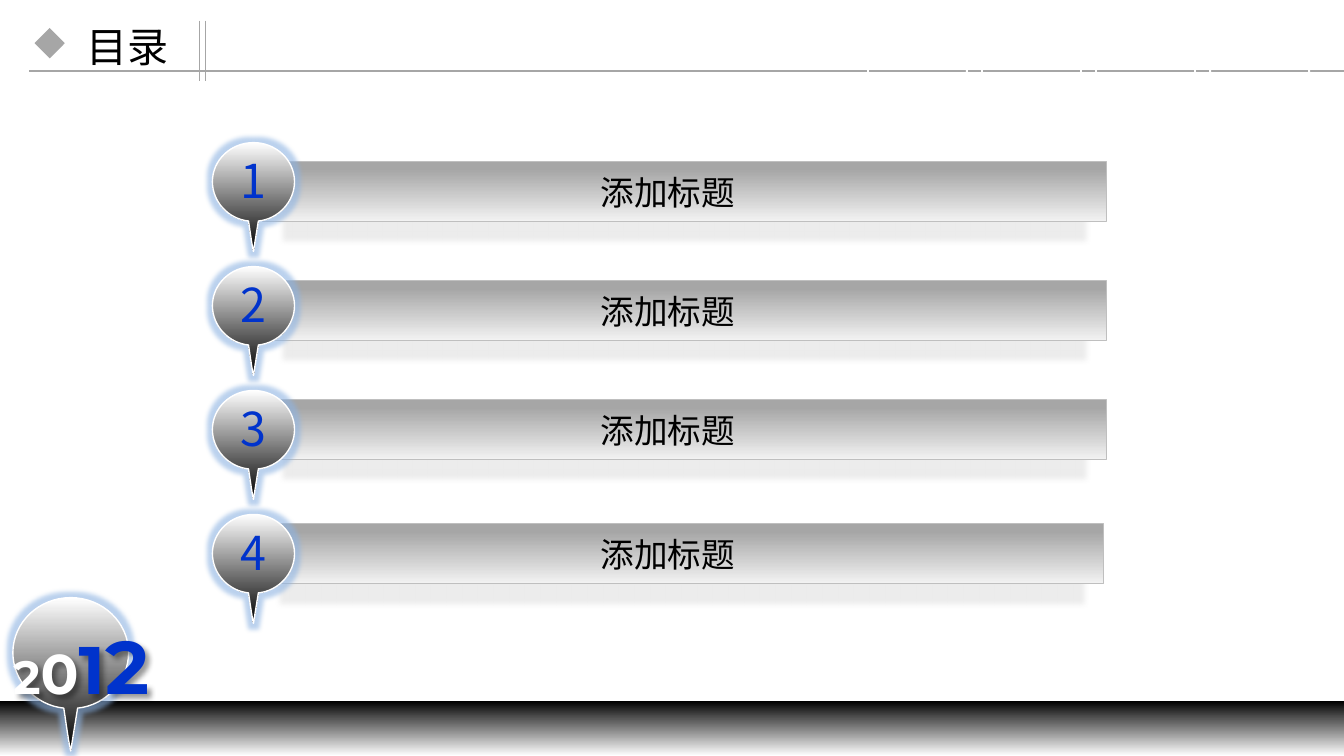
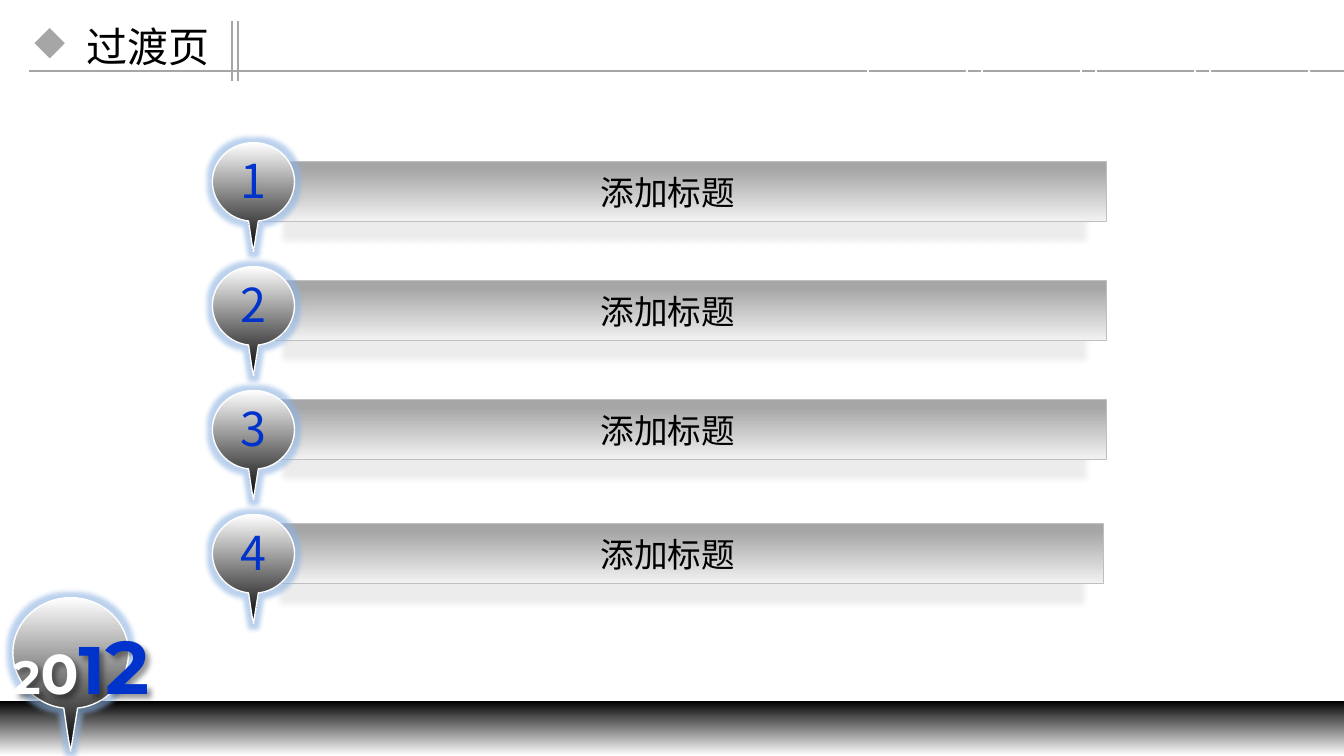
import lxml.etree
import pptx
import pptx.dml.color
import pptx.enum.shapes
import pptx.enum.text
import pptx.oxml.ns
import pptx.util

Pt = pptx.util.Pt
RGBColor = pptx.dml.color.RGBColor
qn = pptx.oxml.ns.qn

BLACK = RGBColor(0x00, 0x00, 0x00)
CHARCOAL = RGBColor(0x58, 0x58, 0x58)
SHADE = RGBColor(0x80, 0x80, 0x80)
GRAY = RGBColor(0xA6, 0xA6, 0xA6)
EDGE = RGBColor(0xBF, 0xBF, 0xBF)
PALE = RGBColor(0xF2, 0xF2, 0xF2)
WHITE = RGBColor(0xFF, 0xFF, 0xFF)
BLUE = RGBColor(0x00, 0x33, 0xCC)
GLOW = RGBColor(0x8E, 0xB4, 0xE3)

SC = "Noto Sans CJK SC"
JP = "Noto Sans CJK JP"
YEAR_FONT = "Montserrat"

WIDTH, HEIGHT = 720, 405
BAR_LEFT, BAR_TOP, BAR_PITCH = 140.4, 86.4, 63.8
LAST_BAR = (139, 280.5)
PIN_LEFT, PIN_TOP, PIN_PITCH = 113.8, 76.4, 66.4
LABELS = ["添加标题"] * 4

PIN_FADE = [(0, WHITE), (100, BLACK)]
BAND_FADE = [(0, BLACK), (33, CHARCOAL), (100, WHITE)]
BAR_FADE = [(0, GRAY), (13, GRAY), (100, PALE)]
BAR_SHADOW = {"blurRad": Pt(3), "dist": Pt(10), "dir": 5400000,
              "sx": 95000, "algn": "ctr", "rotWithShape": 0}
YEAR_SHADOW = {"blurRad": Pt(3), "dist": Pt(3), "dir": 2700000,
               "algn": "tl", "rotWithShape": 0}

PIN_OUTLINE = [
    [(50, 0)],
    [(77.5, 0), (100, 21.3), (100, 47.6)],
    [(100, 72), (80.5, 93), (56, 95.5)],
    [(50, 132.5)],
    [(48, 124), (45.5, 105), (44, 95.5)],
    [(19.5, 93), (0, 72), (0, 47.6)],
    [(0, 21.3), (22.5, 0), (50, 0)],
]
TILE_OUTLINE = [
    [(100, 82)],
    [(100, 92), (92, 100), (82, 100)],
    [(18, 100)],
    [(8, 100), (0, 92), (0, 82)],
    [(0, 18)],
    [(0, 8), (8, 0), (18, 0)],
    [(82, 0)],
    [(92, 0), (100, 8), (100, 18)],
]


def add_colour(parent, colour, alpha=None):
    node = lxml.etree.SubElement(parent, qn("a:srgbClr"), val=str(colour))
    if alpha is not None:
        lxml.etree.SubElement(node, qn("a:alpha"), val=str(alpha * 1000))


def add_effect(shape, kind, colour, alpha, values):
    shape.shadow.inherit = False
    effects = shape.element.spPr.find(qn("a:effectLst"))
    attributes = {key: str(value) for key, value in values.items()}
    effect = lxml.etree.SubElement(effects, qn(kind), attributes)
    add_colour(effect, colour, alpha)


def fade_down(shape, stops):
    shape.fill.gradient()
    shape.fill.gradient_angle = 270
    stop_list = shape.element.spPr.find(qn("a:gradFill")).find(qn("a:gsLst"))
    for stop in list(stop_list):
        stop_list.remove(stop)
    for position, colour in stops:
        stop = lxml.etree.SubElement(stop_list, qn("a:gs"), pos=str(position * 1000))
        add_colour(stop, colour)


def set_line(shape, colour, width):
    shape.line.color.rgb = colour
    shape.line.width = Pt(width)


def add_block(slide, left, top, width, height):
    block = slide.shapes.add_shape(pptx.enum.shapes.MSO_SHAPE.RECTANGLE,
                                   Pt(left), Pt(top), Pt(width), Pt(height))
    block.shadow.inherit = False
    block.line.fill.background()
    return block


def add_rule(slide, x1, y1, x2, y2):
    rule = slide.shapes.add_connector(
        pptx.enum.shapes.MSO_CONNECTOR.STRAIGHT, Pt(x1), Pt(y1), Pt(x2), Pt(y2))
    set_line(rule, GRAY, 0.75)
    lxml.etree.SubElement(rule.element.spPr, qn("a:effectLst"))


def add_outline(slide, left, top, width, segments):
    points = [(Pt(left + x * width / 100), Pt(top + y * width / 100))
              for segment in segments for x, y in segment]
    builder = slide.shapes.build_freeform(*points[0])
    builder.add_line_segments(points[1:], close=True)
    shape = builder.convert_to_shape()
    shape.shadow.inherit = False
    route = next(shape.element.spPr.iter(qn("a:path")))
    steps = iter(route.findall(qn("a:lnTo")))
    for segment in segments[1:]:
        group = [next(steps) for _ in segment]
        if len(group) == 3:
            curve = lxml.etree.Element(qn("a:cubicBezTo"))
            group[0].addprevious(curve)
            for step in group:
                curve.append(step[0])
                route.remove(step)
    return shape


def add_text(slide, left, top, width, height, runs, wrap=True, **paragraph_format):
    box = slide.shapes.add_textbox(Pt(left), Pt(top), Pt(width), Pt(height))
    frame = box.text_frame
    frame.word_wrap = wrap
    frame.auto_size = pptx.enum.text.MSO_AUTO_SIZE.SHAPE_TO_FIT_TEXT
    paragraph = frame.paragraphs[0]
    for key, value in paragraph_format.items():
        setattr(paragraph, key, value)
    for text, size, name, colour, bold in runs:
        run = paragraph.add_run()
        run.text = text
        font_format = {"size": Pt(size), "bold": bold, "name": name}
        for key, value in font_format.items():
            setattr(run.font, key, value)
        run.font.color.rgb = colour
        lxml.etree.SubElement(run.font._element, qn("a:ea"), typeface=name)
    return box


def add_spaced_text(slide, left, top, width, height, runs):
    add_text(slide, left, top, width, height, runs,
             alignment=pptx.enum.text.PP_ALIGN.JUSTIFY, line_spacing=1.2)


def add_pin(slide, left, top, width):
    pin = add_outline(slide, left, top, width, PIN_OUTLINE)
    fade_down(pin, PIN_FADE)
    set_line(pin, WHITE, 0.75)
    add_effect(pin, "a:glow", GLOW, 60, {"rad": Pt(5)})


def add_frame(slide):
    band = add_block(slide, 0, 375.6, WIDTH, HEIGHT - 375.6)
    fade_down(band, BAND_FADE)
    add_rule(slide, 15.7, 38, WIDTH, 38)
    for index in range(4):
        tile = add_outline(slide, 465 + index * 61.1, 12.2, 53, TILE_OUTLINE)
        tile.fill.background()
        set_line(tile, WHITE, 1)
    add_pin(slide, 6.9, 320.2, 62)
    year = add_text(slide, 0, 328.3, 103, 55.4,
                    [("2", 25, YEAR_FONT, WHITE, True),
                     ("0", 30, YEAR_FONT, WHITE, True),
                     ("1", 36, YEAR_FONT, BLUE, True),
                     ("2", 40, YEAR_FONT, BLUE, True)], wrap=False)
    add_effect(year, "a:outerShdw", BLACK, 40, YEAR_SHADOW)


def add_title(slide, title, width, height, divider):
    diamond = add_block(slide, 20.9, 17.4, 11.5, 11.5)
    diamond.rotation = 45
    diamond.fill.solid()
    diamond.fill.fore_color.rgb = GRAY
    add_spaced_text(slide, 39.2, -7.2, width, height,
                    [(title, 22, JP, BLACK, False), (" ", 30, SC, BLACK, True)])
    for x in (divider, divider + 3.2):
        add_rule(slide, x, 11, x, 43.2)


def add_bar(slide, index):
    left, top = BAR_LEFT, BAR_TOP + index * BAR_PITCH
    if index == len(LABELS) - 1:
        left, top = LAST_BAR
    bar = add_block(slide, left, top, 452.2, 32.2)
    fade_down(bar, BAR_FADE)
    set_line(bar, EDGE, 0.25)
    add_effect(bar, "a:outerShdw", SHADE, 15, BAR_SHADOW)
    add_text(slide, 314.6, top + 2.2, 87, 29,
             [(LABELS[index], 18, SC, BLACK, False)], wrap=False)


def add_number(slide, index):
    top = PIN_TOP + index * PIN_PITCH
    add_pin(slide, PIN_LEFT, top, 44)
    add_spaced_text(slide, 121.7, top - 4.6, 37.4, 40.3,
                    [(str(index + 1), 25, JP, BLUE, False)])


def add_slide(deck):
    slide = deck.slides.add_slide(deck.slide_layouts[6])
    add_frame(slide)
    return slide


def main():
    deck = pptx.Presentation()
    deck.slide_width, deck.slide_height = Pt(WIDTH), Pt(HEIGHT)

    contents = add_slide(deck)
    for index in range(len(LABELS)):
        add_bar(contents, index)
    add_title(contents, "目录", 76.3, 45.4, 107)
    for index in range(len(LABELS)):
        add_number(contents, index)

    transition = add_slide(deck)
    add_title(transition, "过渡页", 122.4, 51.1, 124.4)
    for index in range(len(LABELS)):
        add_bar(transition, index)
        add_number(transition, index)

    deck.save("out.pptx")


if __name__ == "__main__":
    main()
